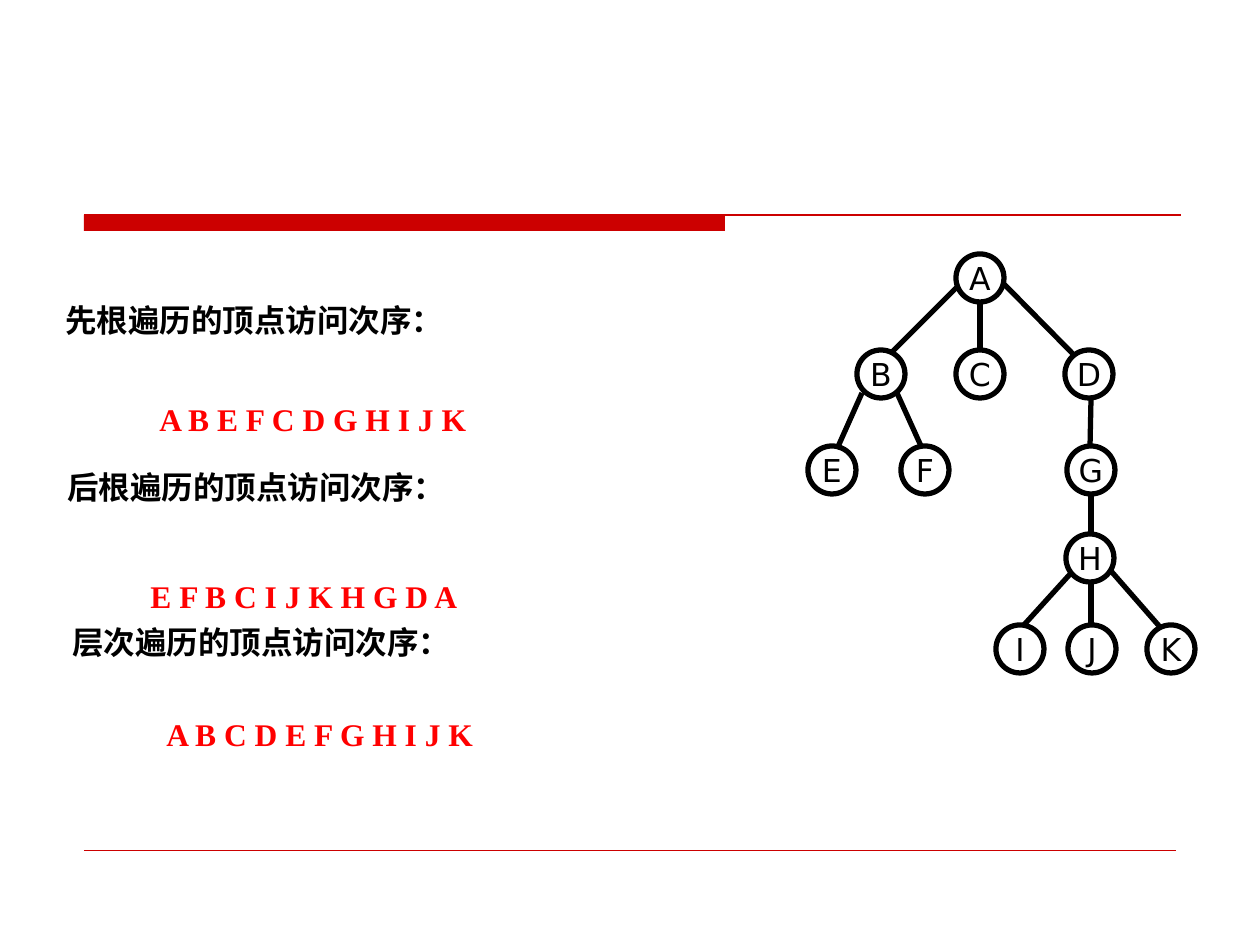
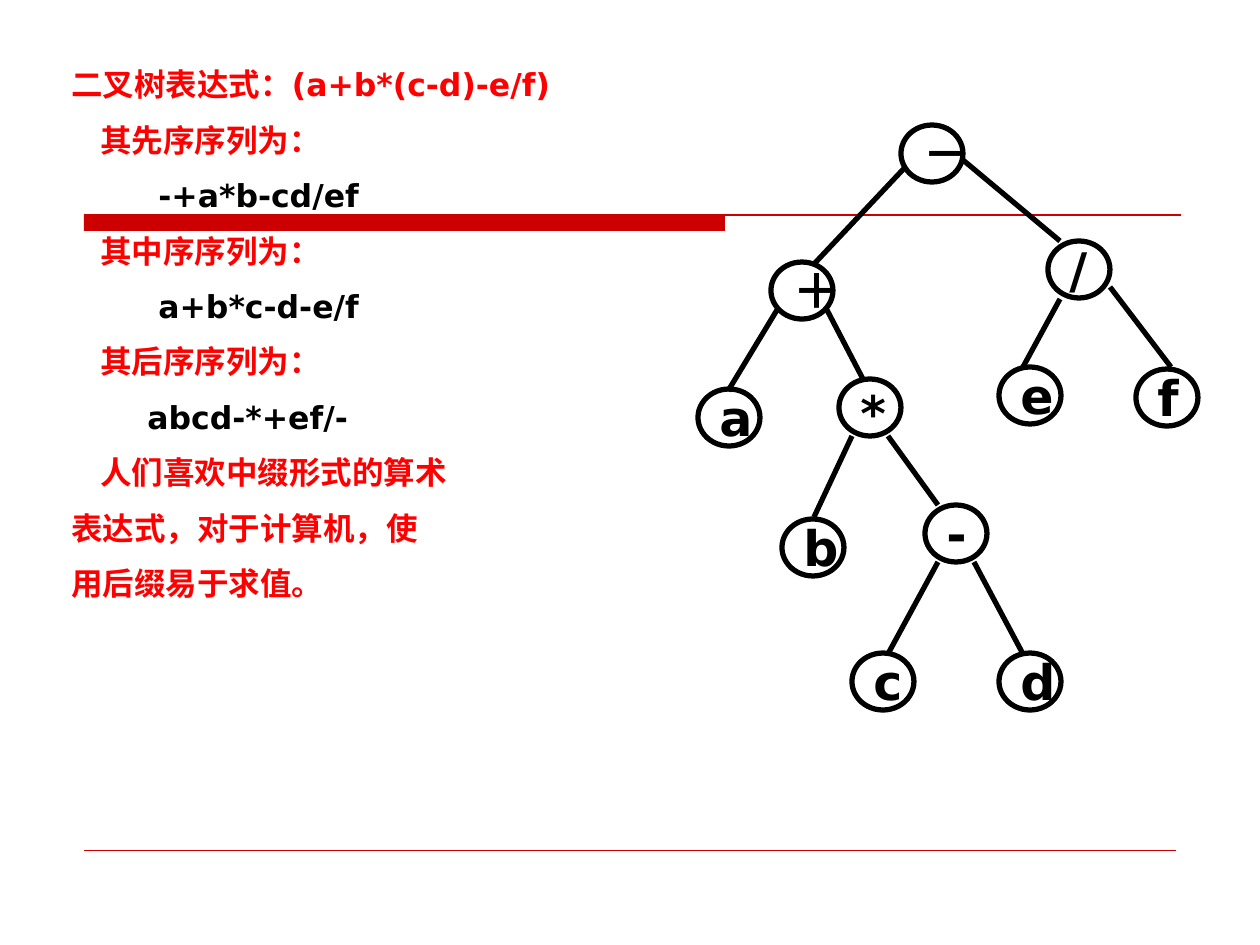
from lxml.etree import SubElement
from pptx import Presentation
from pptx.dml.color import RGBColor
from pptx.enum.shapes import MSO_CONNECTOR as Connector, MSO_SHAPE as Shape
from pptx.enum.text import MSO_ANCHOR as Anchor, PP_ALIGN as Align
from pptx.oxml.ns import qn
from pptx.util import Emu, Pt

COLORS = {"band": "CC0000", "accent": "FF0000", "ink": "000000", "paper": "FFFFFF"}
SERIF, SANS = "Times New Roman", "DejaVu Sans"
PX_PER_INCH = 126


def px(length):
    return Emu(round(length * 914400 / PX_PER_INCH))


def color(name):
    return RGBColor.from_string(COLORS[name])


class Deck:
    """Holds the shared style and the current slide."""

    def __init__(self):
        self.presentation = Presentation()
        self.presentation.slide_width = px(1260)
        self.presentation.slide_height = px(945)
        self.slide = None

    def new_slide(self):
        self.slide = self.presentation.slides.add_slide(self.presentation.slide_layouts[6])
        # Header band with its rule, and the footer rule
        band = self.shape(Shape.RECTANGLE, 84, 215, 641, 16, fill="band")
        band.line.fill.background()
        self.line(84, 215, 1181, 215, "band", 0.75)
        self.line(84, 850, 1176, 850, "band", 0.25)

    def shape(self, kind, left, top, width, height, fill=None):
        shape = self.slide.shapes.add_shape(kind, px(left), px(top), px(width), px(height))
        shape.shadow.inherit = False
        if fill:
            shape.fill.solid()
            shape.fill.fore_color.rgb = color(fill)
        else:
            shape.fill.background()
        return shape

    def line(self, x1, y1, x2, y2, ink="ink", weight=3):
        connector = self.slide.shapes.add_connector(
            Connector.STRAIGHT, px(x1), px(y1), px(x2), px(y2))
        connector.line.color.rgb = color(ink)
        connector.line.width = Pt(weight)
        SubElement(connector._element.spPr, qn("a:effectLst"))

    def edges(self, ends):
        for end in ends:
            self.line(*end)

    def fill_paragraph(self, paragraph, text, font, size, ink, bold):
        paragraph.add_run().text = text
        paragraph.font.name = font
        paragraph.font.size = Pt(size)
        paragraph.font.bold = bold
        paragraph.font.color.rgb = color(ink)

    def text(self, left, top, width, height, lines, font, wrap=True, gap=0):
        """Each line is (text, colour, indent in px)."""
        box = self.slide.shapes.add_textbox(px(left), px(top), px(width), px(height))
        frame = box.text_frame
        frame.word_wrap = wrap
        for index, (words, ink, indent) in enumerate(lines):
            paragraph = frame.add_paragraph() if index else frame.paragraphs[0]
            properties = paragraph._p.get_or_add_pPr()
            properties.set("marL", str(px(indent)))
            properties.set("indent", "0")
            if index and gap:
                paragraph.space_before = Pt(gap)
            self.fill_paragraph(paragraph, words, font, 18, ink, True)

    def node(self, label, left, top, width, height, size, align,
             fill=None, bold=False, inset_top=6):
        circle = self.shape(Shape.OVAL, left, top, width, height, fill)
        circle.line.color.rgb = color("ink")
        circle.line.width = Pt(3)
        frame = circle.text_frame
        frame.word_wrap = False
        frame.vertical_anchor = Anchor.MIDDLE
        frame.margin_top = px(inset_top)
        frame.paragraphs[0].alignment = align
        self.fill_paragraph(frame.paragraphs[0], label, SANS, size, "ink", bold)


def traversal_slide(deck):
    deck.new_slide()
    # Headings: text, left, top, width, indent
    for words, left, top, width, indent in [
        ("先根遍历的顶点访问次序：", 29, 295, 669, 24),
        ("后根遍历的顶点访问次序：", 39, 462, 653, 16),
        ("层次遍历的顶点访问次序：", 44, 617, 645, 16),
    ]:
        deck.text(left, top, width, 50, [(words, "ink", indent)], SERIF)
    # Visiting orders
    for order, left, top in [("ABEFCDGHIJK", 147, 394), ("EFBCIJKHGDA", 138, 571),
                             ("ABCDEFGHIJK", 154, 709)]:
        deck.text(left, top, 335, 50, [(" ".join(order), "accent", 0)], SERIF, wrap=False)
    # Tree: one row of nodes per level
    levels = [
        (254, {"A": 956}),
        (350, {"B": 857, "C": 956, "D": 1065}),
        (446, {"E": 808, "F": 901, "G": 1067}),
        (534, {"H": 1066}),
        (625, {"I": 996, "J": 1068, "K": 1147}),
    ]
    for top, row in levels:
        for label, left in row.items():
            deck.node(label, left, top, 48, 48, 18, Align.CENTER)
    deck.edges([
        (958, 286, 891, 353), (980, 301, 980, 351), (1004, 284, 1074, 355),
        (862, 393, 837, 449), (897, 393, 921, 446), (1091, 400, 1090, 447),
        (1091, 493, 1091, 534), (1072, 572, 1023, 626), (1091, 581, 1091, 625),
        (1111, 571, 1160, 627),
    ])


def expression_slide(deck):
    deck.new_slide()
    deck.line(912, 160, 815, 263)
    # Expression and its sequences
    deck.text(59, 59, 625, 551, [
        ("二叉树表达式：(a+b*(c-d)-e/f)", "accent", 0),
        ("其先序序列为：", "accent", 29),
        ("-+a*b-cd/ef", "ink", 87),
        ("其中序序列为：", "accent", 29),
        ("a+b*c-d-e/f", "ink", 87),
        ("其后序序列为：", "accent", 29),
        ("abcd-*+ef/-", "ink", 76),
        ("人们喜欢中缀形式的算术", "accent", 29),
        ("表达式，对于计算机，使", "accent", 0),
        ("用后缀易于求值。", "accent", 0),
    ], SANS, gap=10.1)
    # Expression tree
    for label, left, top in [
        ("－", 901, 125), ("＋", 771, 262), ("*", 839, 379), ("a", 698, 389),
        ("/", 1048, 241), ("b", 782, 519), ("-", 925, 505), ("d", 999, 653),
        ("c", 852, 653), ("f", 1136, 369), ("e", 999, 367),
    ]:
        deck.node(label, left, top, 62, 57, 28, Align.LEFT, fill="paper", bold=True,
                  inset_top=16 if label == "*" else 6)
    deck.edges([
        (777, 310, 728, 391), (827, 310, 863, 379), (852, 436, 814, 517),
        (888, 436, 938, 505), (974, 562, 1023, 654), (938, 562, 888, 654),
        (963, 160, 1060, 241), (1060, 299, 1023, 367), (1110, 287, 1171, 367),
    ])


def main():
    deck = Deck()
    traversal_slide(deck)
    expression_slide(deck)
    deck.presentation.save("out.pptx")


if __name__ == "__main__":
    main()
